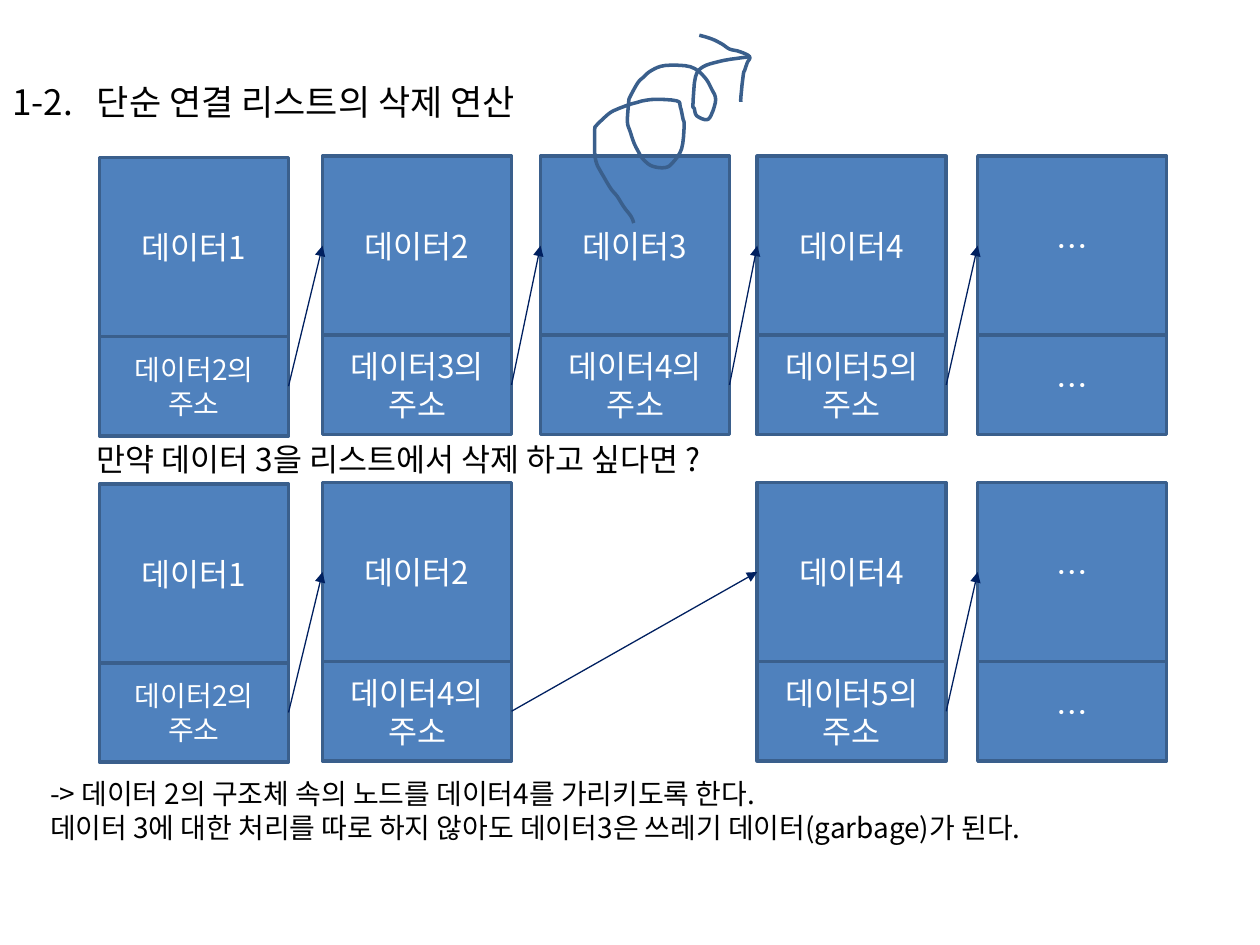
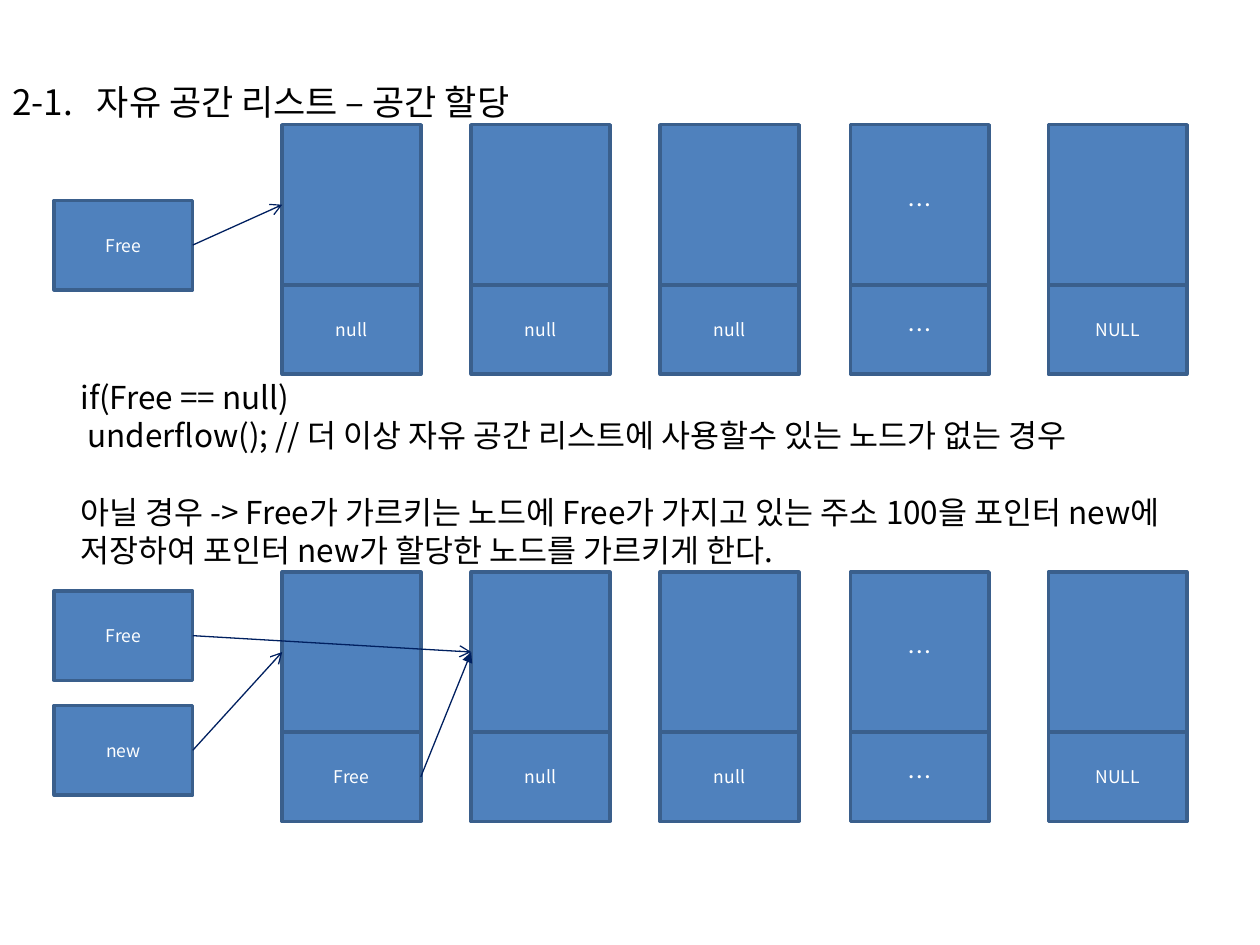
from lxml import etree
from pptx import Presentation
from pptx.dml.color import RGBColor
from pptx.enum.shapes import MSO_CONNECTOR, MSO_SHAPE
from pptx.enum.text import MSO_ANCHOR as ANCHOR, PP_ALIGN as ALIGN
from pptx.oxml.ns import qn
from pptx.util import Inches, Pt

FONT = "Noto Sans CJK KR"
BLACK = RGBColor(0x00, 0x00, 0x00)
WHITE = RGBColor(0xFF, 0xFF, 0xFF)
NODE_FILL = RGBColor(0x4F, 0x81, 0xBD)
NODE_LINE = RGBColor(0x3A, 0x5F, 0x8C)
ARROW = RGBColor(0x00, 0x20, 0x60)


def add_box(slide, x, y, w, h, text, size, node=True, anchor=ANCHOR.MIDDLE):
    """Add a filled list cell, or a plain text box when node is False."""
    place = [Inches(v) for v in (x, y, w, h)]
    if node:
        box = slide.shapes.add_shape(MSO_SHAPE.RECTANGLE, *place)
        box.shadow.inherit = False
        box.fill.solid()
        box.fill.fore_color.rgb = NODE_FILL
        box.line.color.rgb = NODE_LINE
        box.line.width = Pt(2)
    else:
        box = slide.shapes.add_textbox(*place)
    frame = box.text_frame
    frame.word_wrap = True
    frame.vertical_anchor = anchor
    frame.text = text
    for paragraph in frame.paragraphs:
        paragraph.alignment = ALIGN.CENTER if node else ALIGN.LEFT
        paragraph.line_spacing = Pt(round(size * 1.21, 1))
        for run in paragraph.runs:
            run.font.name = FONT
            run.font.size = Pt(size)
            run.font.color.rgb = WHITE if node else BLACK
            east_asian = etree.SubElement(run.font._element, qn("a:ea"))
            east_asian.set("typeface", FONT)
    return box


def add_arrow(slide, start, end, head="triangle"):
    arrow = slide.shapes.add_connector(
        MSO_CONNECTOR.STRAIGHT, *[Inches(v) for v in (*start, *end)])
    arrow.line.color.rgb = ARROW
    arrow.line.width = Pt(0.75)
    etree.SubElement(arrow.line._get_or_add_ln(), qn("a:tailEnd")).set("type", head)
    etree.SubElement(arrow._element.spPr, qn("a:effectLst"))


prs = Presentation()
prs.slide_width, prs.slide_height = Inches(10), Inches(7.5)

slides = []
for title in ("1-2.\t단순 연결 리스트의 삭제 연산",
              "2-1.\t자유 공간 리스트 – 공간 할당"):
    slide = prs.slides.add_slide(prs.slide_layouts[6])
    heading = add_box(slide, 0, 0, 10, 1.61, title, 20, node=False)
    # The hanging indent lets the tab line up the words after the number.
    properties = heading.text_frame.paragraphs[0]._p.get_or_add_pPr()
    properties.set("marL", str(Inches(0.67)))
    properties.set("indent", str(-Inches(0.67)))
    slides.append(slide)
deletion, allocation = slides

# Slide 1: deleting a node from a singly linked list
add_box(deletion, 0.67, 3.44, 9.37, 0.4,
        "만약 데이터 3을 리스트에서 삭제 하고 싶다면 ?", 18, False, ANCHOR.TOP)
add_box(deletion, 0.25, 6.11, 9.26, 0.64,
        " -> 데이터 2의 구조체 속의 노드를 데이터4를 가리키도록 한다.\v"
        " 데이터 3에 대한 처리를 따로 하지 않아도 데이터3은 쓰레기 데이터(garbage)가 된다.",
        16, False, ANCHOR.TOP)

NODE_W, DATA_H, LINK_H = 1.5, 1.42, 0.79
first = (0.79, 0.01, "데이터1", "데이터2의 주소", 16)
fourth = (6.01, 0, "데이터4", "데이터5의 주소", 18)
rest = (7.76, 0, "…", "…", 18)
before = [first,
          (2.56, 0, "데이터2", "데이터3의\n주소", 18),
          (4.29, 0, "데이터3", "데이터4의 주소", 18),
          fourth, rest]
after = [first, (2.56, 0, "데이터2", "데이터4의\n주소", 18), fourth, rest]

for top, nodes in ((1.24, before), (3.83, after)):
    for x, drop, data, link, link_size in nodes:
        add_box(deletion, x, top + drop, NODE_W, DATA_H, data, 18)
        add_box(deletion, x, top + drop + DATA_H, NODE_W, LINK_H, link, link_size)
    for node, following in zip(nodes, nodes[1:]):
        add_arrow(deletion,
                  (node[0] + NODE_W, top + node[1] + DATA_H + LINK_H / 2),
                  (following[0], top + DATA_H / 2))

# Hand-drawn arrow that throws node 3 away, in hundredths of an inch
loops = [(503, 177), (501, 172), (495, 164), (490, 156), (485, 150), (479, 140),
         (475, 133), (473, 128), (472, 121), (472, 103), (473, 100), (479, 94),
         (485, 89), (494, 85), (503, 82), (517, 79), (537, 80), (540, 85),
         (542, 94), (543, 100), (541, 118), (534, 129), (528, 133), (518, 132),
         (511, 127), (507, 121), (503, 113), (500, 104), (498, 97), (499, 81),
         (500, 77), (506, 66), (511, 61), (517, 56), (528, 52), (548, 53),
         (559, 61), (565, 71), (568, 79), (565, 90), (561, 95), (553, 92),
         (551, 86), (550, 83), (552, 61), (558, 53), (570, 49), (580, 47),
         (595, 45)]
tip = [(555, 28), (565, 31), (573, 35), (579, 39), (587, 41), (595, 45),
       (593, 50), (591, 56), (590, 59), (588, 77), (588, 81)]
STEPS = 4
for stroke in (loops, tip):
    padded = [stroke[0], *stroke, stroke[-1]]
    curve = []
    # Catmull-Rom curve through the points, in thousandths of an inch
    for a, b, c, d in zip(padded, padded[1:], padded[2:], padded[3:]):
        for t in [step / STEPS for step in range(1, STEPS + 1)]:
            curve.append([
                5 * (2 * q + (r - p) * t + (2 * p - 5 * q + 4 * r - s) * t ** 2
                     + (3 * q - p - 3 * r + s) * t ** 3)
                for p, q, r, s in zip(a, b, c, d)])
    builder = deletion.shapes.build_freeform(
        stroke[0][0] * 10, stroke[0][1] * 10, scale=Inches(1) / 1000)
    builder.add_line_segments(curve, close=False)
    sketch = builder.convert_to_shape()
    sketch.shadow.inherit = False
    sketch.fill.background()
    sketch.line.color.rgb = NODE_LINE
    sketch.line.width = Pt(2)

# Slide 2: taking a node from the free list
CELL_W, CELL_H, POINTER_H = 1.1, 1.27, 0.71
POINTER_X = 0.43
columns = [2.24, 3.74, 5.24, 6.75, 8.32]
data_cells = ["", "", "", "…", ""]
for top, first_link in ((0.99, "null"), (4.54, "Free")):
    links = [first_link, "null", "null", "…", "NULL"]
    for x, data, link in zip(columns, data_cells, links):
        size = 14 if link == "…" else 10
        add_box(allocation, x, top, CELL_W, CELL_H, data, size)
        add_box(allocation, x, top + CELL_H, CELL_W, POINTER_H, link, size)

explanation = add_box(
    allocation, 0.54, 2.95, 8.91, 2.22,
    "if(Free == null)\n"
    " underflow(); // 더 이상 자유 공간 리스트에 사용할수 있는 노드가 없는 경우\n"
    "아닐 경우 -> Free가 가르키는 노드에 Free가 가지고 있는 주소 100을 포인터 "
    "new에 저장하여 포인터 new가 할당한 노드를 가르키게 한다.",
    18, False, ANCHOR.TOP)
explanation.text_frame.paragraphs[2].space_before = Pt(21.8)

for label, y, column, target_top in (("Free", 1.59, 0, 0.99),
                                     ("Free", 4.69, 1, 4.54),
                                     ("new", 5.6, 0, 4.54)):
    add_box(allocation, POINTER_X, y, CELL_W, POINTER_H, label, 10)
    add_arrow(allocation, (POINTER_X + CELL_W, y + POINTER_H / 2),
              (columns[column], target_top + CELL_H / 2), "arrow")
add_arrow(allocation, (columns[0] + CELL_W, 4.54 + CELL_H + POINTER_H / 2),
          (columns[1], 4.54 + CELL_H / 2))

prs.save("out.pptx")
